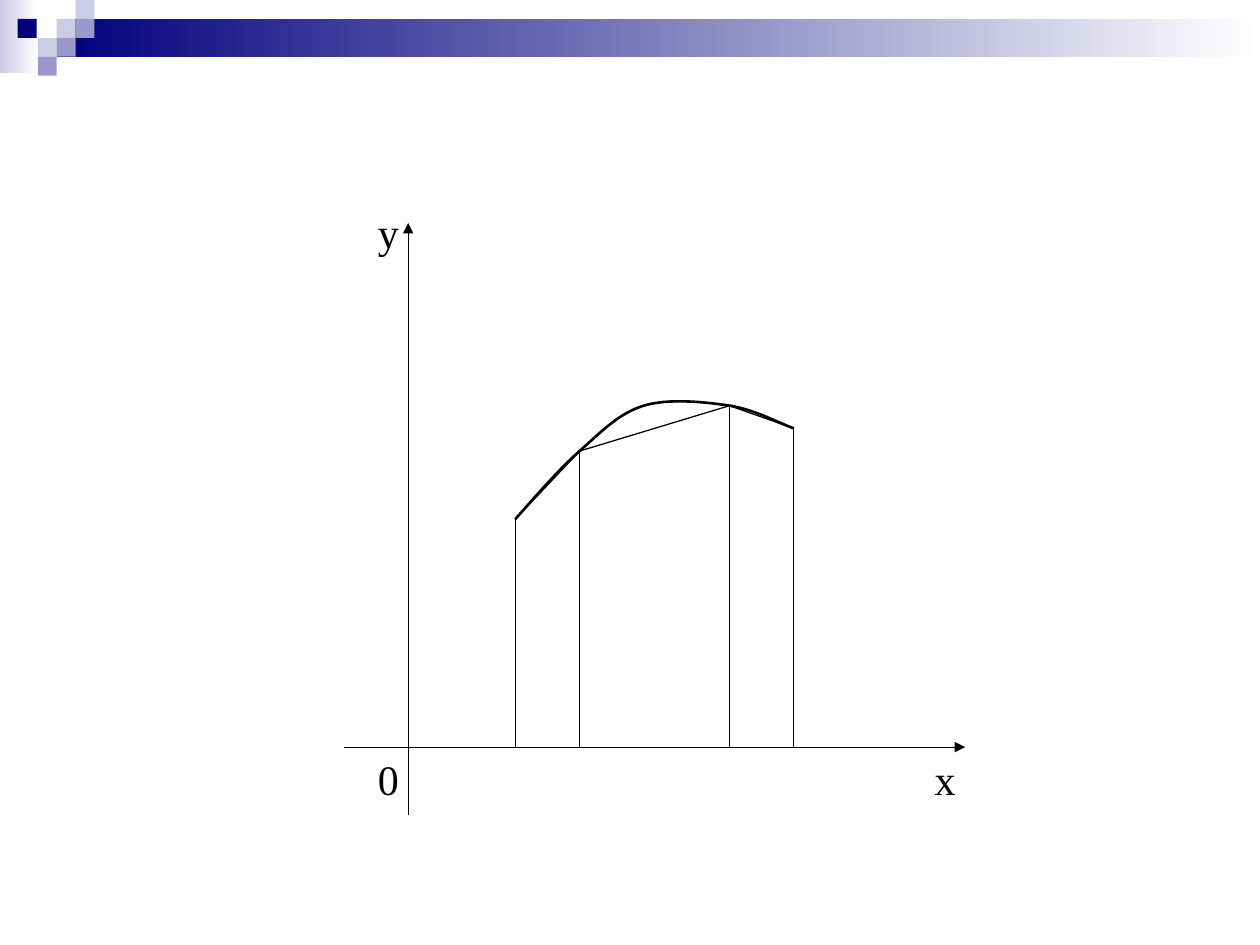
import pptx
import pptx.util
import pptx.dml.color
import pptx.enum.shapes
import pptx.enum.text
import pptx.oxml
import pptx.oxml.ns

Inches = pptx.util.Inches
Pt = pptx.util.Pt

THEME = {
    "navy": "00007D", "mid": "9999CC", "pale": "CCCCE6",
    "paper": "FFFFFF", "ink": "000000",
    "font": "Times New Roman", "label": 24, "thin": 0.75, "thick": 1.5,
}

# Content: header bands (left, top, width, height, start colour)
BANDS = [(0, 0, 0.31, 0.58, "pale"), (0.45, 0.15, 9.55, 0.3, "navy")]
# Header squares (left, top, colour)
SQUARE = 0.15
SQUARES = [
    (0.45, 0.15, "pale"), (0.6, 0, "pale"), (0.6, 0.15, "mid"),
    (0.3, 0.3, "pale"), (0.14, 0.15, "navy"), (0.45, 0.3, "mid"),
    (0.3, 0.45, "mid"),
]
# Labels (text, left, top, width, height)
LABELS = [
    ("y", 2.9, 1.59, 0.51, 0.54),
    ("0", 2.9, 5.93, 0.51, 0.54),
    ("x", 7.32, 5.93, 0.5, 0.59),
]
BASELINE = 5.93
AXES = [((2.73, BASELINE), (7.66, BASELINE)), ((3.24, 6.47), (3.24, 1.77))]
# Points where the trapezoids meet the curve
NODES = [(4.09, 4.12), (4.6, 3.58), (5.79, 3.22), (6.3, 3.4)]
# Bezier segments: two control points and an end point each
CURVE = [
    ((4.26, 3.93), (4.43, 3.73), (4.6, 3.58)),
    ((4.77, 3.43), (4.91, 3.28), (5.11, 3.22)),
    ((5.31, 3.16), (5.59, 3.19), (5.79, 3.22)),
    ((5.99, 3.25), (6.21, 3.37), (6.3, 3.4)),
]
STEPS = 16


def colour(name):
    return pptx.dml.color.RGBColor.from_string(THEME[name])


def add_rectangle(page, left, top, width, height):
    shape = page.shapes.add_shape(
        pptx.enum.shapes.MSO_SHAPE.RECTANGLE,
        Inches(left), Inches(top), Inches(width), Inches(height))
    shape.shadow.inherit = False
    shape.line.fill.background()
    return shape


def add_band(page, left, top, width, height, start):
    fill = add_rectangle(page, left, top, width, height).fill
    fill.gradient()
    fill.gradient_angle = 0
    for stop, name, position in zip(fill.gradient_stops, (start, "paper"), (0, 1)):
        stop.color.rgb = colour(name)
        stop.position = position


def add_square(page, left, top, name):
    fill = add_rectangle(page, left, top, SQUARE, SQUARE).fill
    fill.solid()
    fill.fore_color.rgb = colour(name)


def add_label(page, text, left, top, width, height):
    box = add_rectangle(page, left, top, width, height)
    box.fill.solid()
    box.fill.fore_color.rgb = colour("paper")
    box.line.color.rgb = colour("paper")
    box.line.width = Pt(THEME["thin"])
    frame = box.text_frame
    frame.word_wrap = True
    frame.vertical_anchor = pptx.enum.text.MSO_ANCHOR.TOP
    para = frame.paragraphs[0]
    para.alignment = pptx.enum.text.PP_ALIGN.LEFT
    span = para.add_run()
    span.text = text
    span.font.name = THEME["font"]
    span.font.size = Pt(THEME["label"])
    span.font.color.rgb = colour("ink")


def add_line(page, start, end, arrow=False):
    line = page.shapes.add_connector(
        pptx.enum.shapes.MSO_CONNECTOR.STRAIGHT,
        *(Inches(value) for value in start + end))
    line.line.color.rgb = colour("ink")
    line.line.width = Pt(THEME["thin"])
    properties = line._element.spPr
    namespace = pptx.oxml.ns.nsdecls("a")
    if arrow:
        properties.find(pptx.oxml.ns.qn("a:ln")).append(
            pptx.oxml.parse_xml(f'<a:tailEnd {namespace} type="triangle"/>'))
    properties.append(pptx.oxml.parse_xml(f'<a:effectLst {namespace}/>'))


def bezier_points(start, segments):
    for first, second, end in segments:
        for step in range(1, STEPS + 1):
            t = step / STEPS
            u = 1 - t
            yield tuple(
                Inches(u**3 * a + 3 * u**2 * t * b + 3 * u * t**2 * c + t**3 * d)
                for a, b, c, d in zip(start, first, second, end))
        start = end


def add_curve(page):
    start = NODES[0]
    builder = page.shapes.build_freeform(*(Inches(value) for value in start))
    builder.add_line_segments(list(bezier_points(start, CURVE)), close=False)
    curve = builder.convert_to_shape()
    curve.shadow.inherit = False
    curve.fill.background()
    curve.line.color.rgb = colour("ink")
    curve.line.width = Pt(THEME["thick"])


def main():
    deck = pptx.Presentation()
    deck.slide_width, deck.slide_height = Inches(10), Inches(7.5)
    page = deck.slides.add_slide(deck.slide_layouts[6])

    # Header decoration
    for band in BANDS:
        add_band(page, *band)
    for square in SQUARES:
        add_square(page, *square)

    # Axes and their labels
    for label in LABELS:
        add_label(page, *label)
    for start, end in AXES:
        add_line(page, start, end, arrow=True)

    # Trapezoids: verticals to the baseline, then chords
    for node in NODES:
        add_line(page, (node[0], BASELINE), node)
    for start, end in zip(NODES, NODES[1:]):
        add_line(page, start, end)

    # Function curve
    add_curve(page)
    deck.save("out.pptx")


if __name__ == "__main__":
    main()
